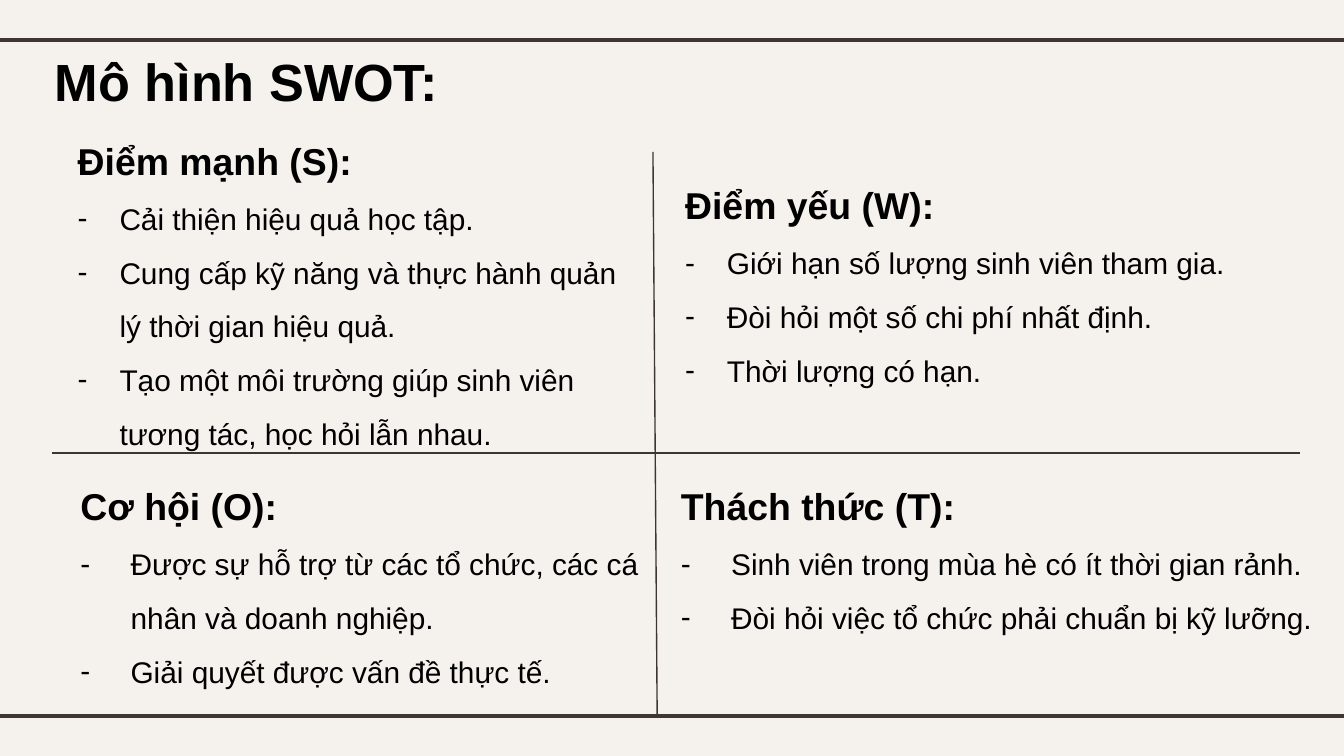
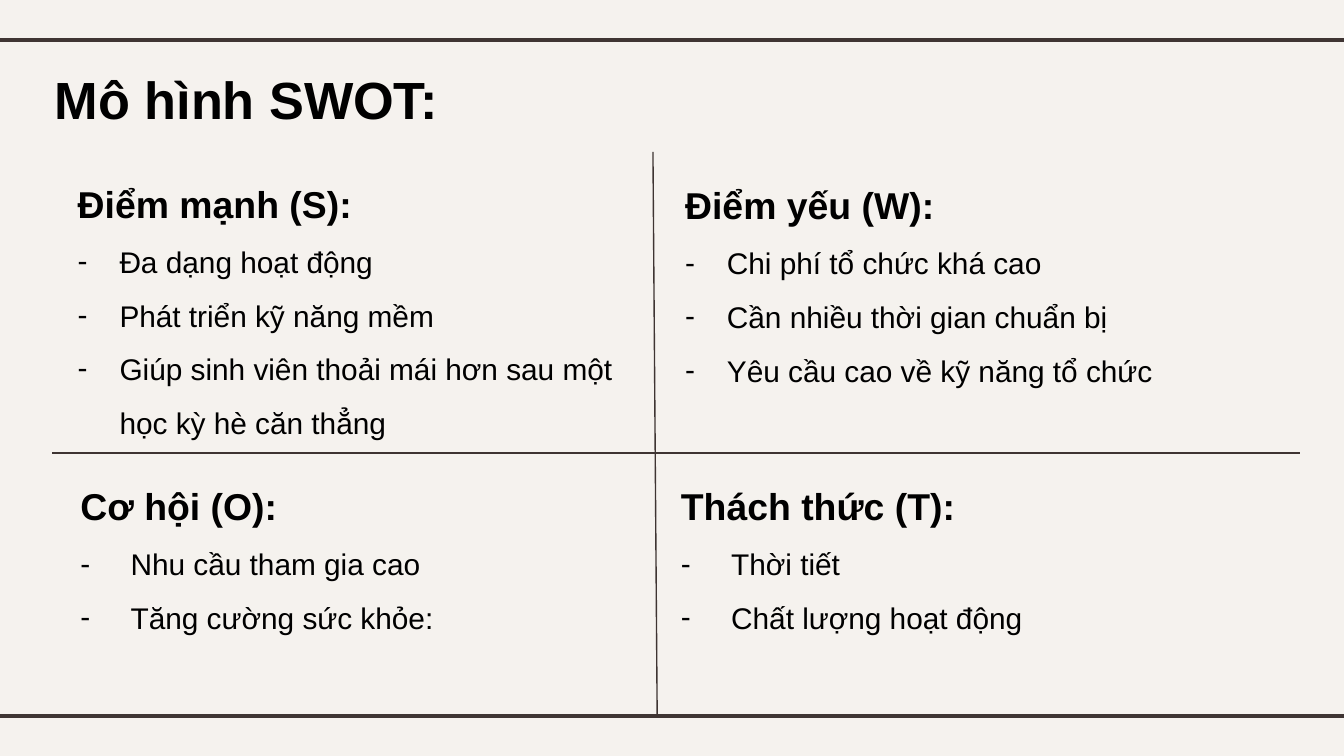
from lxml.etree import SubElement
from pptx import Presentation
from pptx.dml.color import RGBColor
from pptx.enum.shapes import MSO_CONNECTOR
from pptx.enum.text import MSO_AUTO_SIZE
from pptx.oxml.ns import qn
from pptx.util import Cm, Pt

# Shared look
FONT = "Arial"
INK = "000000"
PAPER = "F5F2EE"
BAND = "3F3533"
AXIS = "3E3432"
TITLE = "Mô hình SWOT:"

# Lines on every slide: start x, start y, end x, end y, colour, points
LINES = [
    (-0.2, 13.54, 25.6, 13.54, BAND, 2.25),
    (-0.2, 0.76, 25.6, 0.76, BAND, 2.25),
    (12.34, 2.87, 12.42, 13.54, AXIS, 0.75),
    (0.99, 8.56, 24.56, 8.56, AXIS, 0.75),
]

# Quadrants: heading, left, top, width, bullet indent
QUADRANTS = [
    ("Điểm mạnh (S):", 1.22, 2.87, 11.13, 0.79),
    ("Điểm yếu (W):", 12.7, 2.9, 12.19, 0.79),
    ("Cơ hội (O):", 1.27, 8.59, 11.13, 0.95),
    ("Thách thức (T):", 12.62, 8.59, 12.52, 0.95),
]

# Slides: title top, top of the first quadrant, then
# the number of text lines and the bullets of each quadrant
SLIDES = [
    (0.81, 2.06, [
        (6, ["Cải thiện hiệu quả học tập.",
             "Cung cấp kỹ năng và thực hành quản lý thời gian hiệu quả.",
             "Tạo một môi trường giúp sinh viên tương tác, học hỏi lẫn nhau."]),
        (4, ["Giới hạn số lượng sinh viên tham gia.",
             "Đòi hỏi một số chi phí nhất định.",
             "Thời lượng có hạn."]),
        (4, ["Được sự hỗ trợ từ các tổ chức, các cá nhân và doanh nghiệp.",
             "Giải quyết được vấn đề thực tế."]),
        (3, ["Sinh viên trong mùa hè có ít thời gian rảnh.",
             "Đòi hỏi việc tổ chức phải chuẩn bị kỹ lưỡng."]),
    ]),
    (1.14, 2.87, [
        (5, ["Đa dạng hoạt động",
             "Phát triển kỹ năng mềm",
             "Giúp sinh viên thoải mái hơn sau một học kỳ hè căn thẳng"]),
        (4, ["Chi phí tổ chức khá cao",
             "Cần nhiều thời gian chuẩn bị",
             "Yêu cầu cao về kỹ năng tổ chức"]),
        (3, ["Nhu cầu tham gia cao",
             "Tăng cường sức khỏe:"]),
        (3, ["Thời tiết",
             "Chất lượng hoạt động"]),
    ]),
]


def colour(hex_text):
    return RGBColor.from_string(hex_text)


def add_text(frame, text, size=16, bold=False, spacing=1.5, indent=None):
    """Write one paragraph, with a dash bullet when an indent is given."""
    para = frame.paragraphs[0]
    if para.runs:
        para = frame.add_paragraph()
    if indent:
        properties = para._p.get_or_add_pPr()
        properties.set("marL", str(Cm(indent)))
        properties.set("indent", str(-Cm(indent)))
        bullet_colour = SubElement(properties, qn("a:buClr"))
        SubElement(bullet_colour, qn("a:srgbClr"), val=INK)
        SubElement(properties, qn("a:buFont"), typeface=FONT)
        SubElement(properties, qn("a:buChar"), char="-")
    para.line_spacing = spacing
    span = para.add_run()
    span.text = text
    span.font.name = FONT
    span.font.size = Pt(size)
    span.font.bold = bold
    span.font.color.rgb = colour(INK)


deck = Presentation()
deck.slide_width, deck.slide_height = Cm(25.4), Cm(14.29)

for title_top, first_top, contents in SLIDES:
    page = deck.slides.add_slide(deck.slide_layouts[6])
    page.background.fill.solid()
    page.background.fill.fore_color.rgb = colour(PAPER)

    # Bands and axes
    for x1, y1, x2, y2, line_colour, weight in LINES:
        line = page.shapes.add_connector(
            MSO_CONNECTOR.STRAIGHT, Cm(x1), Cm(y1), Cm(x2), Cm(y2))
        line.line.color.rgb = colour(line_colour)
        line.line.width = Pt(weight)
        SubElement(line._element.spPr, qn("a:effectLst"))

    # Title
    box = page.shapes.add_textbox(Cm(0.79), Cm(title_top), Cm(11.13), Cm(1.45))
    box.text_frame.word_wrap = True
    box.text_frame.auto_size = MSO_AUTO_SIZE.SHAPE_TO_FIT_TEXT
    add_text(box.text_frame, TITLE, size=28, bold=True, spacing=1.0)

    # Four quadrants
    for number, (quadrant, content) in enumerate(zip(QUADRANTS, contents)):
        heading, left, top, width, indent = quadrant
        line_count, bullets = content
        if number == 0:
            top = first_top
        height = 0.35 + 1.03 * line_count
        box = page.shapes.add_textbox(Cm(left), Cm(top), Cm(width), Cm(height))
        box.text_frame.word_wrap = True
        box.text_frame.auto_size = MSO_AUTO_SIZE.SHAPE_TO_FIT_TEXT
        add_text(box.text_frame, heading, size=20, bold=True)
        for bullet in bullets:
            add_text(box.text_frame, bullet, indent=indent)

deck.save("out.pptx")
